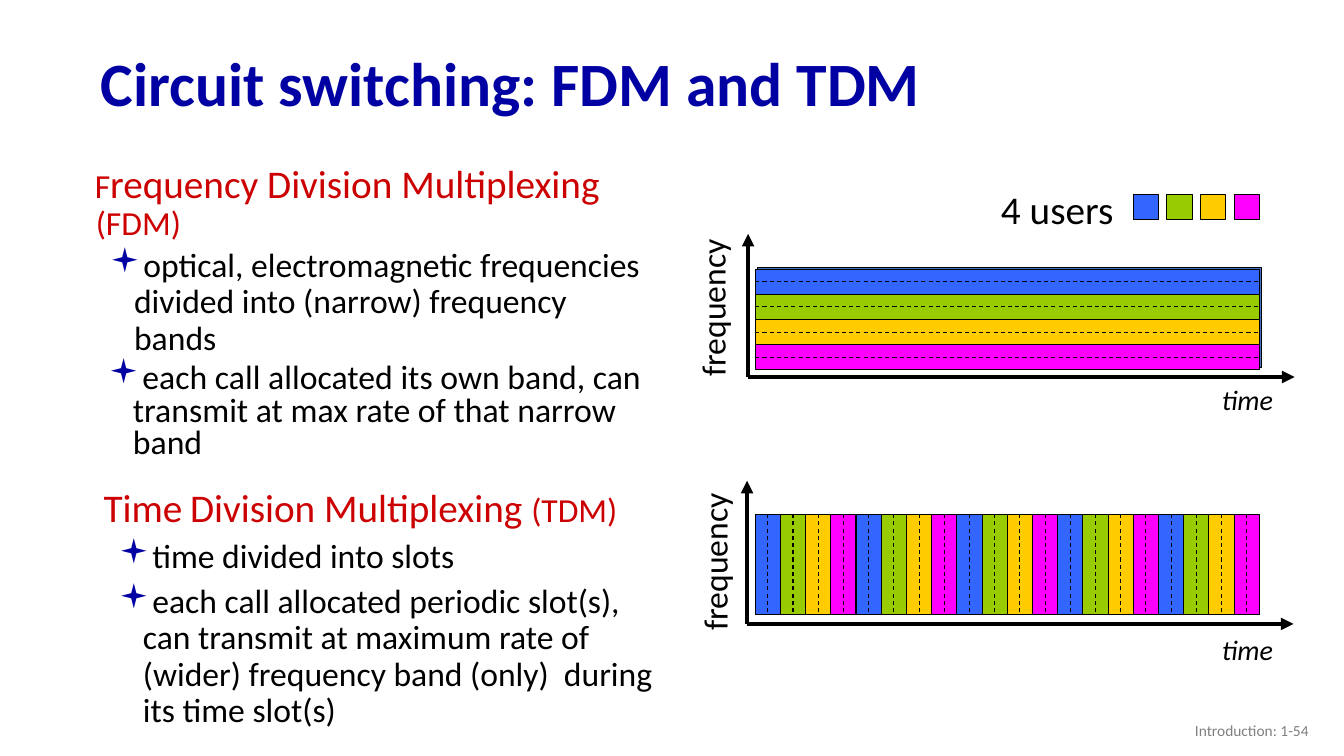
from lxml.etree import SubElement
from pptx import Presentation
from pptx.dml.color import RGBColor
from pptx.enum.dml import MSO_LINE
from pptx.enum.shapes import MSO_CONNECTOR, MSO_SHAPE
from pptx.enum.text import MSO_ANCHOR, MSO_AUTO_SIZE, PP_ALIGN
from pptx.oxml.ns import qn
from pptx.util import Inches, Pt

COLORS = {"title": "0000A3", "heading": "CC0000", "text": "000000",
          "frame": "4472C4", "footer": "808080"}
USERS = ["3366FF", "99CC00", "FFCC00", "FF00FF"]
FONT = "Calibri"
CELL = Inches(0.25)  # all lengths below count cells of this square grid

deck = Presentation()
deck.slide_width, deck.slide_height = Inches(13.33), Inches(7.5)
slide = deck.slides.add_slide(deck.slide_layouts[1])
shapes = slide.shapes


def style(font, size, color):
    font.name, font.size = FONT, Pt(size)
    font.color.rgb = RGBColor.from_string(COLORS[color])


def add_line(x1, y1, x2, y2, width=0.75, dashed=False, arrow=False):
    ends = [int(v * CELL) for v in (x1, y1, x2, y2)]
    connector = shapes.add_connector(MSO_CONNECTOR.STRAIGHT, *ends)
    connector.line.width = Pt(width)
    connector.line.color.rgb = RGBColor.from_string(COLORS["text"])
    if dashed:
        connector.line.dash_style = MSO_LINE.DASH
    if arrow:
        SubElement(connector.line._get_or_add_ln(), qn("a:tailEnd"), type="triangle")
    SubElement(connector._element.spPr, qn("a:effectLst"))


# Title
title = shapes.title
title.left, title.top, title.width, title.height = [
    int(v * CELL) for v in (3.6, 1.48, 46, 3.92)]
title.text_frame.text = "Circuit switching: FDM and TDM"
title.text_frame.vertical_anchor = MSO_ANCHOR.MIDDLE
title.text_frame.auto_size = MSO_AUTO_SIZE.NONE
heading = title.text_frame.paragraphs[0]
heading.alignment, heading.line_spacing = PP_ALIGN.LEFT, 0.9
style(heading.font, 44, "title")
heading.font.bold = True

# Bands, slots and legend: left, top, width, height, fill
plot_left, plot_width, plot_height = 29.96, 20, 4
bands_top, slots_top = 10.68, 20.4
blocks = [(30.04, 10.6, plot_width, plot_height, COLORS["frame"])]
blocks += [(plot_left, bands_top + i, plot_width, 1, user) for i, user in enumerate(USERS)]
blocks += [(plot_left, slots_top, plot_width, plot_height, COLORS["frame"])]
blocks += [(plot_left + i, slots_top, 1, plot_height, USERS[i % len(USERS)])
           for i in range(plot_width)]
blocks += [(plot_left + 15 + i * 4 / 3, 7.72, 1, 1, user) for i, user in enumerate(USERS)]
for *box, fill in blocks:
    block = shapes.add_shape(MSO_SHAPE.RECTANGLE, *[int(v * CELL) for v in box])
    block.shadow.inherit = False
    block.fill.solid()
    block.fill.fore_color.rgb = RGBColor.from_string(fill)
    block.line.color.rgb = RGBColor.from_string(COLORS["text"])
    block.line.width = Pt(0.75)

# Solid borders between users, dashed lines through each middle
for dashed, offset in ((False, 0), (True, 0.5)):
    for i in range(0 if dashed else 1, plot_height):
        y = bands_top + i + offset
        add_line(plot_left, y, plot_left + plot_width, y, dashed=dashed)
    for i in range(0 if dashed else 1, plot_width):
        x = plot_left + i + offset
        add_line(x, slots_top, x, slots_top + plot_height, dashed=dashed)

# Axes
for origin_x, origin_y in ((29.68, 14.96), (29.64, 24.76)):
    add_line(origin_x, origin_y, origin_x, origin_y - 5.68, width=3, arrow=True)
    add_line(origin_x, origin_y, origin_x + 21.68, origin_y, width=3, arrow=True)

# Labels
for label, box, size, turn in (
        ("frequency", (25.12, 11.16, 6.32, 2.04), 24, 270),
        ("time", (48.08, 15, 2.92, 1.76), 20, 0),
        ("frequency", (25.2, 21.24, 6.32, 2.04), 24, 270),
        ("time", (48.08, 24.92, 2.92, 1.76), 20, 0),
        ("4 users", (39.32, 7.16, 5.32, 2.28), 28, 0),
        ("Introduction: 1-54", (40.32, 28.2, 12, 1.6), 11, 0)):
    caption = shapes.add_textbox(*[int(v * CELL) for v in box])
    caption.rotation = turn
    frame = caption.text_frame
    frame.text = label
    is_footer = label.startswith("Introduction")
    frame.word_wrap = is_footer
    paragraph = frame.paragraphs[0]
    style(paragraph.font, size, "footer" if is_footer else "text")
    if is_footer:
        frame.vertical_anchor = MSO_ANCHOR.MIDDLE
        paragraph.alignment = PP_ALIGN.RIGHT
    else:
        frame.auto_size = MSO_AUTO_SIZE.SHAPE_TO_FIT_TEXT
        paragraph.font.italic = label == "time"

# Explanations: box, line spacing, space before, heading runs, bullets, bullet size
explanations = [
    ((3.36, 6.32, 23.04, 8.68), 0.9, 4,
     [("F", 24), ("requency Division Multiplexing ", 28), ("(FDM)", 24)],
     ["optical, electromagnetic frequencies divided into (narrow) frequency bands"], 24),
    ((3.72, 19.2, 23.08, 10.8), 0.9, 6,
     [("Time", 28), (" ", 24), ("Division Multiplexing ", 28), ("(TDM)", 24)],
     ["time divided into slots"], 24),
    ((3.32, 14.24, 23.04, 4.56), 0.8, 4, [],
     ["each call allocated its own band, can transmit at max rate of that narrow band"], 24.1),
    ((3.72, 23, 23.08, 7), 0.9, 6, [],
     ["each call allocated periodic slot(s), can transmit at maximum rate of "
      "(wider) frequency band (only)  during its time slot(s)"], 24),
]
for number, (box, spacing, before, heading_runs, bullets, size) in enumerate(explanations):
    box = [int(v * CELL) for v in box]
    if number == 0:
        explanation = slide.placeholders[1]
        explanation.left, explanation.top, explanation.width, explanation.height = box
    else:
        explanation = shapes.add_textbox(*box)
    frame = explanation.text_frame
    frame.word_wrap, frame.auto_size = True, MSO_AUTO_SIZE.NONE
    frame.text = "\n".join(([""] if heading_runs else []) + bullets)
    for i, paragraph in enumerate(frame.paragraphs):
        is_heading = bool(heading_runs) and i == 0
        properties = paragraph._p.get_or_add_pPr()
        margin, indent = (0.01, -0.01) if is_heading else (0.39, -0.24)
        properties.set("marL", str(Inches(margin)))
        properties.set("indent", str(Inches(indent)))
        if is_heading:
            SubElement(properties, qn("a:buNone"))
            for words, points in heading_runs:
                run = paragraph.add_run()
                run.text = words
                style(run.font, points, "heading")
        else:
            bullet_color = SubElement(properties, qn("a:buClr"))
            SubElement(bullet_color, qn("a:srgbClr"), val=COLORS["title"])
            SubElement(properties, qn("a:buFont"), typeface="Wingdings")
            SubElement(properties, qn("a:buChar"), char="▪")
            style(paragraph.font, size, "text")
        paragraph.line_spacing = spacing
        paragraph.space_before = Pt(before if i else 0)

deck.save("out.pptx")
